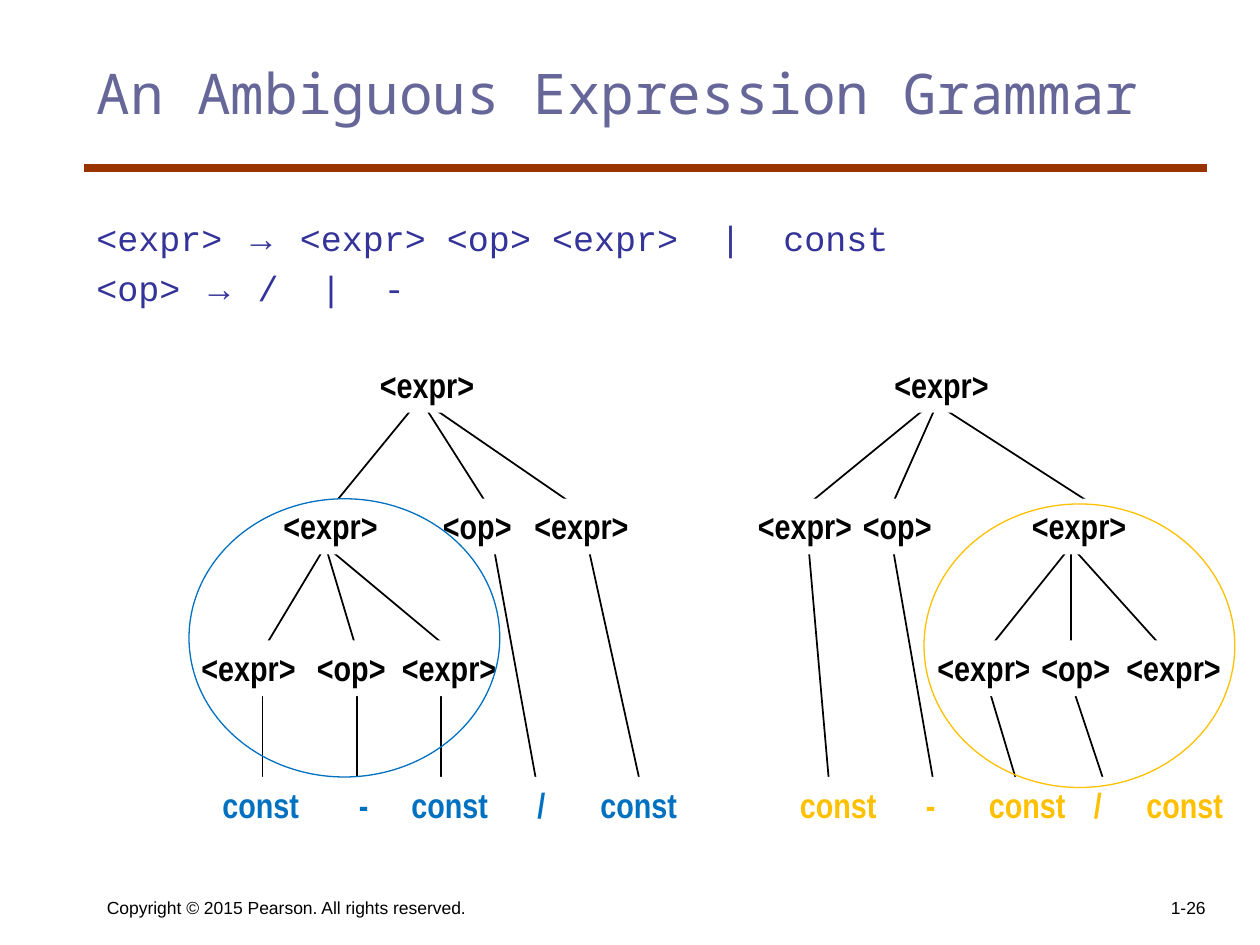
"""Build a slide with two parse trees of an ambiguous expression grammar."""
from lxml.etree import SubElement
from pptx import Presentation
from pptx.dml.color import RGBColor
from pptx.enum.shapes import MSO_CONNECTOR, MSO_SHAPE
from pptx.enum.text import MSO_ANCHOR, MSO_AUTO_SIZE, PP_ALIGN
from pptx.oxml.ns import qn
from pptx.util import Inches, Pt

BLACK = RGBColor(0x00, 0x00, 0x00)
WHITE = RGBColor(0xFF, 0xFF, 0xFF)
SLATE = RGBColor(0x66, 0x66, 0x99)
INDIGO = RGBColor(0x33, 0x33, 0x99)
RUST = RGBColor(0x99, 0x33, 0x00)
BLUE = RGBColor(0x00, 0x70, 0xC0)
AMBER = RGBColor(0xFF, 0xC0, 0x00)

TITLE = "An Ambiguous Expression Grammar"
RULES = [("<expr> ", " <expr> <op> <expr>  |  const"), ("<op> ", " /  |  -")]
FOOTERS = [
    ("Copyright © 2015 Pearson. All rights reserved.", (9, 82, 55, 6), PP_ALIGN.LEFT),
    ("1-26", (91, 82, 25, 6), PP_ALIGN.RIGHT),
]

# Lengths count grid units of a twelfth of an inch.
LEVEL_TOPS = [34, 47.5, 61, 74]
NODE_HEIGHT = 5.3
NODE_WIDTHS = {"<expr>": 11.4, "<op>": 9, "const": 9.7, "-": 3.2, "/": 3.1}
TREES = [
    {
        "color": BLUE,
        "levels": [
            [("<expr>", 35)],
            [("<expr>", 25.8), ("<op>", 41), ("<expr>", 49.7)],
            [("<expr>", 18), ("<op>", 29), ("<expr>", 37.1)],
            [("const", 20), ("-", 33), ("const", 38), ("/", 50), ("const", 56)],
        ],
        "branches": [
            (40, 38, 31, 49), (40, 38, 56, 49), (40, 38, 47, 49),
            (31, 52, 25, 62), (31, 52, 43, 62), (31, 52, 34, 62),
            (25, 65, 25, 75), (34, 65, 34, 75), (42, 65, 42, 75),
            (47, 52, 51, 74), (56, 52, 61, 74),
        ],
        "subtree": (18, 47.5, 29.6, 26.5),
    },
    {
        "color": AMBER,
        "levels": [
            [("<expr>", 84)],
            [("<expr>", 71), ("<op>", 81), ("<expr>", 97.1)],
            [("<expr>", 88.1), ("<op>", 98), ("<expr>", 106.1)],
            [("const", 75), ("-", 87), ("const", 93), ("/", 103), ("const", 108)],
        ],
        "branches": [
            (88, 39, 77, 48), (90, 39, 104, 48), (89, 39, 85, 48),
            (102, 52, 94, 62), (102, 52, 111, 62), (102, 52, 102, 62),
            (77, 52, 79, 75), (85, 52, 89, 75),
            (94, 65, 97, 75), (102, 65, 105, 74),
        ],
        "subtree": (88, 48, 29.6, 27),
    },
]


def units(*counts):
    return [Inches(count / 12) for count in counts]


def style(font, size, name, color, bold=False):
    font.size, font.name, font.bold = Pt(size), name, bold
    font.color.rgb = color


def add_line(shapes, ends, color, width):
    line = shapes.add_connector(MSO_CONNECTOR.STRAIGHT, *units(*ends))
    line.line.color.rgb = color
    line.line.width = Pt(width)
    SubElement(line.element.spPr, qn("a:effectLst"))
    return line


def add_node(shapes, symbol, left, top, color):
    node = shapes.add_shape(
        MSO_SHAPE.RECTANGLE, *units(left, top, NODE_WIDTHS[symbol], NODE_HEIGHT))
    node.shadow.inherit = False
    node.fill.solid()
    node.fill.fore_color.rgb = WHITE
    node.line.fill.background()
    frame = node.text_frame
    frame.word_wrap = False
    frame.auto_size = MSO_AUTO_SIZE.SHAPE_TO_FIT_TEXT
    frame.vertical_anchor = MSO_ANCHOR.TOP
    label = frame.paragraphs[0]
    label.text = symbol
    label.alignment = PP_ALIGN.LEFT
    style(label.font, 20, "Arial Narrow", color, True)
    return node


def add_tree(shapes, tree):
    branches = [add_line(shapes, ends, BLACK, 1) for ends in tree["branches"]]
    for level, (top, symbols) in enumerate(zip(LEVEL_TOPS, tree["levels"])):
        color = tree["color"] if level == len(LEVEL_TOPS) - 1 else BLACK
        for symbol, left in symbols:
            node = add_node(shapes, symbol, left, top, color)
            for branch, (_, _, end_x, end_y) in zip(branches, tree["branches"]):
                if end_y == top and abs(left + NODE_WIDTHS[symbol] / 2 - end_x) < 0.2:
                    branch.end_connect(node, 0)
    subtree = shapes.add_shape(MSO_SHAPE.OVAL, *units(*tree["subtree"]))
    subtree.shadow.inherit = False
    subtree.fill.background()
    subtree.line.color.rgb = tree["color"]
    subtree.line.width = Pt(0.75)


def add_title(shapes):
    title = shapes.title
    title.left, title.top, title.width, title.height = units(8, 5, 107, 15)
    title.text_frame.vertical_anchor = MSO_ANCHOR.TOP
    heading = title.text_frame.paragraphs[0]
    heading.text = TITLE
    heading.alignment = PP_ALIGN.LEFT
    style(heading.font, 32, "Noto Sans Mono", SLATE)


def add_grammar(shapes):
    frame = shapes.add_textbox(*units(8, 20, 98, 12.8)).text_frame
    frame.word_wrap = True
    for index, (symbol, definition) in enumerate(RULES):
        rule = frame.add_paragraph() if index else frame.paragraphs[0]
        rule.space_before = Pt(5 if index else 0)
        for text, name in ((symbol, "Courier New"), ("→", "Arial"), (definition, "Courier New")):
            run = rule.add_run()
            run.text = text
            style(run.font, 20, name, INDIGO)


def add_footers(shapes):
    for text, place, alignment in FOOTERS:
        frame = shapes.add_textbox(*units(*place)).text_frame
        frame.word_wrap = True
        frame.vertical_anchor = MSO_ANCHOR.BOTTOM
        footer = frame.paragraphs[0]
        footer.text = text
        footer.alignment = alignment
        style(footer.font, 10, "Arial", BLACK)


def main():
    presentation = Presentation()
    presentation.slide_width, presentation.slide_height = Inches(10), Inches(7.5)
    shapes = presentation.slides.add_slide(presentation.slide_layouts[5]).shapes
    add_line(shapes, (8, 16, 115, 16), RUST, 4.5)
    add_footers(shapes)
    add_title(shapes)
    add_grammar(shapes)
    for tree in TREES:
        add_tree(shapes, tree)
    presentation.save("out.pptx")


if __name__ == "__main__":
    main()
